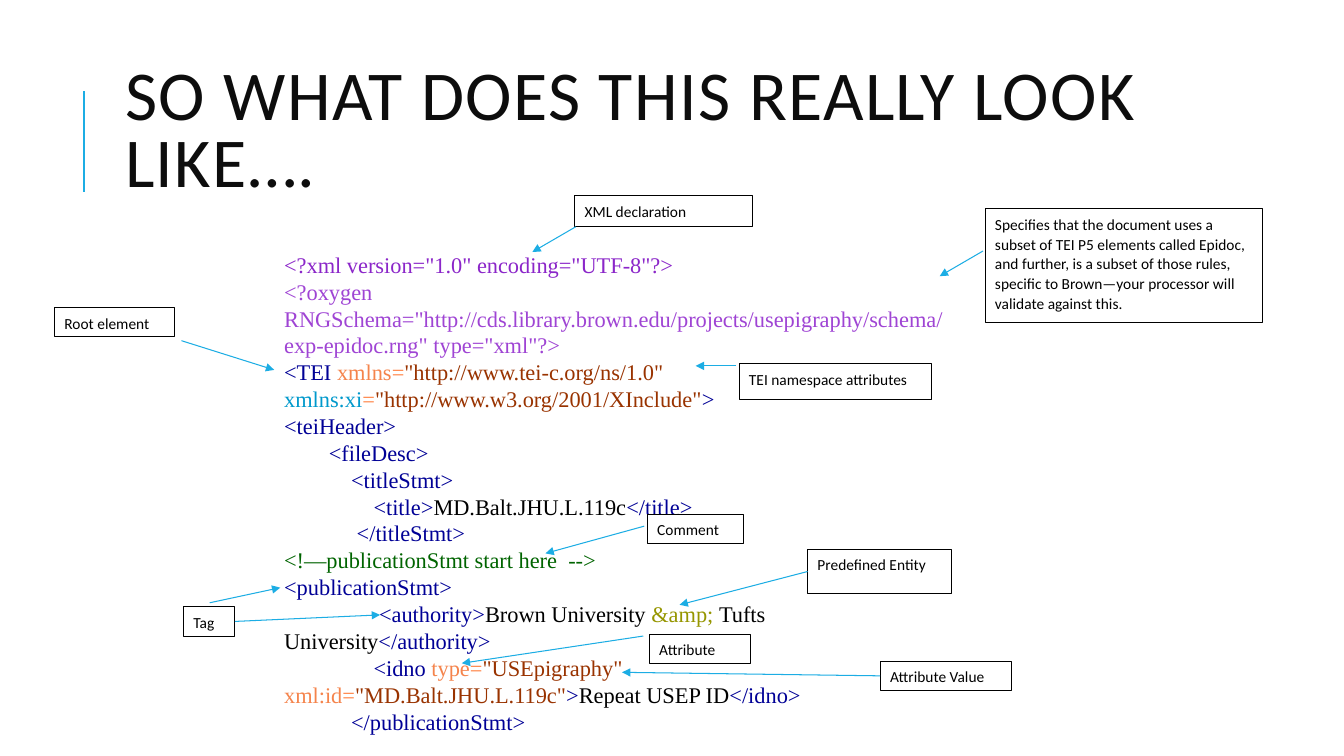
"""Build the slide that walks through an annotated TEI XML file."""
from lxml.etree import SubElement
from pptx import Presentation
from pptx.dml.color import RGBColor as RGB
from pptx.enum.shapes import MSO_CONNECTOR as CONN, MSO_SHAPE as SHAPE
from pptx.enum.text import MSO_ANCHOR as ANCHOR, MSO_AUTO_SIZE as FIT, PP_ALIGN as ALIGN
from pptx.oxml.ns import qn
from pptx.util import Inches, Pt

BLACK = RGB(0x00, 0x00, 0x00)
WHITE = RGB(0xFF, 0xFF, 0xFF)
INK = RGB(0x0D, 0x0D, 0x0D)
CYAN = RGB(0x1C, 0xAD, 0xE4)
DECL = RGB(0x8B, 0x26, 0xC9)
PROC = RGB(0x9F, 0x44, 0xD4)
TAG = RGB(0x00, 0x00, 0x96)
ATTR = RGB(0xF5, 0x84, 0x4C)
EQUAL = RGB(0xFF, 0x80, 0x40)
VALUE = RGB(0x99, 0x33, 0x00)
SPACE = RGB(0x00, 0x99, 0xCC)
NOTE = RGB(0x00, 0x64, 0x00)
ENTITY = RGB(0x96, 0x96, 0x00)

TITLE = "SO WHAT DOES THIS REALLY LOOK LIKE…."

CODE = [
    [('<?xml version="1.0" encoding="UTF-8"?>', DECL)],
    [('<?oxygen RNGSchema="http://cds.library.brown.edu/projects/usepigraphy/schema/'
      'exp-epidoc.rng" type="xml"?>', PROC)],
    [("<TEI ", TAG), ("xmlns", ATTR), ("=", EQUAL),
     ('"http://www.tei-c.org/ns/1.0" ', VALUE), ("xmlns:xi", SPACE), ("=", EQUAL),
     ('"http://www.w3.org/2001/XInclude"', VALUE), (">", TAG)],
    [("<teiHeader>", TAG)],
    [("        <fileDesc>", TAG)],
    [("            <titleStmt>", TAG)],
    [("                <title>", TAG), ("MD.Balt.JHU.L.119c", BLACK), ("</title>", TAG)],
    [("             </titleStmt>", TAG)],
    [("<!—publicationStmt start here  -->", NOTE)],
    [("<publicationStmt>", TAG)],
    [("                 <authority>", TAG), ("Brown University ", BLACK),
     ("&amp; ", ENTITY), ("Tufts University", BLACK), ("</authority>", TAG)],
    [("                <idno", TAG), (" type", ATTR), ("=", EQUAL),
     ('"USEpigraphy" ', VALUE), ("xml:id", ATTR), ("=", EQUAL),
     ('"MD.Balt.JHU.L.119c"', VALUE), (">", TAG), ("Repeat USEP ID", BLACK),
     ("</idno>", TAG)],
    [("            </publicationStmt>", TAG)],
]

LEFT, RIGHT = 1, 3
LABELS = [
    ("Comment", (6.42, 5.1, 0.95, 0.29), [((6.39, 5.22), (5.41, 5.49))]),
    ("Attribute", (6.44, 6.29, 1, 0.29), [((6.38, 6.31), (4.58, 6.58))]),
    ("Attribute Value", (8.73, 6.56, 1.3, 0.29), [(LEFT, (6.17, 6.67))]),
    ("Predefined Entity", (8.01, 5.45, 1.43, 0.44), [(LEFT, (6.74, 6))]),
    ("Tag", (1.82, 6.02, 0.51, 0.29),
     [(RIGHT, (3.77, 6.1)), ((2.08, 5.98), (2.78, 5.83))]),
    ("Root element", (0.54, 3.05, 1.19, 0.29), [((1.8, 3.38), (2.72, 3.67))]),
    ("XML declaration", (5.7, 1.94, 1.76, 0.31), [((5.71, 2.25), (5.28, 2.5))]),
    ("TEI namespace attributes", (7.33, 3.61, 1.91, 0.35), [((7.3, 3.63), (6.9, 3.63))]),
    ("Specifies that the document uses a subset of TEI P5 elements called Epidoc, "
     "and further, is a subset of those rules, specific to Brown—your processor will "
     "validate against this.", (9.77, 2.07, 2.75, 1.13), [((9.75, 2.49), (9.32, 2.74))]),
]

TITLE_FONT = {"name": "Calibri", "size": Pt(50), "bold": False}
CODE_FONT = {"name": "Times New Roman", "size": Pt(16)}
LABEL_FONT = {"name": "Calibri", "size": Pt(11)}
LABEL_PARA = {"alignment": ALIGN.LEFT, "line_spacing": 1.07, "space_after": Pt(8)}


def apply(item, looks):
    """Set each named value on the item."""
    for key, val in looks.items():
        setattr(item, key, val)


def add_run(para, text, font, color):
    """Add one run of coloured text."""
    run = para.add_run()
    run.text = text
    apply(run.font, font)
    run.font.color.rgb = color
    return run


def add_line(slide, start, end, width):
    """Draw a flat cyan line between two points."""
    line = slide.shapes.add_connector(CONN.STRAIGHT, *map(Inches, start + end))
    line.line.color.rgb = CYAN
    line.line.width = Pt(width)
    SubElement(line._element.spPr, qn("a:effectLst"))
    return line


def add_title(slide):
    """Place the heading and the rule beside it."""
    title = slide.shapes.title
    apply(title, dict(zip(("left", "top", "width", "height"),
                          map(Inches, (1.14, 0.51, 10.63, 1.64)))))
    apply(title.text_frame, {"auto_size": FIT.NONE, "word_wrap": True,
                             "vertical_anchor": ANCHOR.MIDDLE})
    para = title.text_frame.paragraphs[0]
    apply(para, {"alignment": ALIGN.LEFT, "line_spacing": 0.8})
    run = add_run(para, TITLE, TITLE_FONT, INK)
    run.font._element.set("spc", "100")
    add_line(slide, (0.83, 1.9), (0.83, 0.9), 1.5)


def add_code(slide):
    """Write the coloured XML listing."""
    frame = slide.shapes.add_textbox(*map(Inches, (2.72, 2.44, 6.97, 4.9))).text_frame
    frame.word_wrap = True
    for num, row in enumerate(CODE):
        para = frame.add_paragraph() if num else frame.paragraphs[0]
        para.line_spacing = Pt(19.2)
        for text, color in row:
            add_run(para, text, CODE_FONT, color)


def add_label(slide, text, area, arrows):
    """Draw a boxed label with its arrows."""
    box = slide.shapes.add_shape(SHAPE.RECTANGLE, *map(Inches, area))
    box.shadow.inherit = False
    box.fill.solid()
    box.fill.fore_color.rgb = WHITE
    box.line.color.rgb = BLACK
    box.line.width = Pt(0.75)
    apply(box.text_frame, {"word_wrap": True, "vertical_anchor": ANCHOR.TOP})
    para = box.text_frame.paragraphs[0]
    apply(para, LABEL_PARA)
    add_run(para, text, LABEL_FONT, BLACK)
    for start, tip in arrows:
        joined = start in (LEFT, RIGHT)
        line = add_line(slide, area[:2] if joined else start, tip, 0.75)
        if joined:
            line.begin_connect(box, start)
        SubElement(line.line._get_or_add_ln(), qn("a:tailEnd"), type="triangle")


def main():
    """Build and save the deck."""
    deck = Presentation()
    deck.slide_width, deck.slide_height = Inches(13.33), Inches(7.5)
    slide = deck.slides.add_slide(deck.slide_layouts[5])
    add_title(slide)
    add_code(slide)
    for label in LABELS:
        add_label(slide, *label)
    deck.save("out.pptx")


if __name__ == "__main__":
    main()
